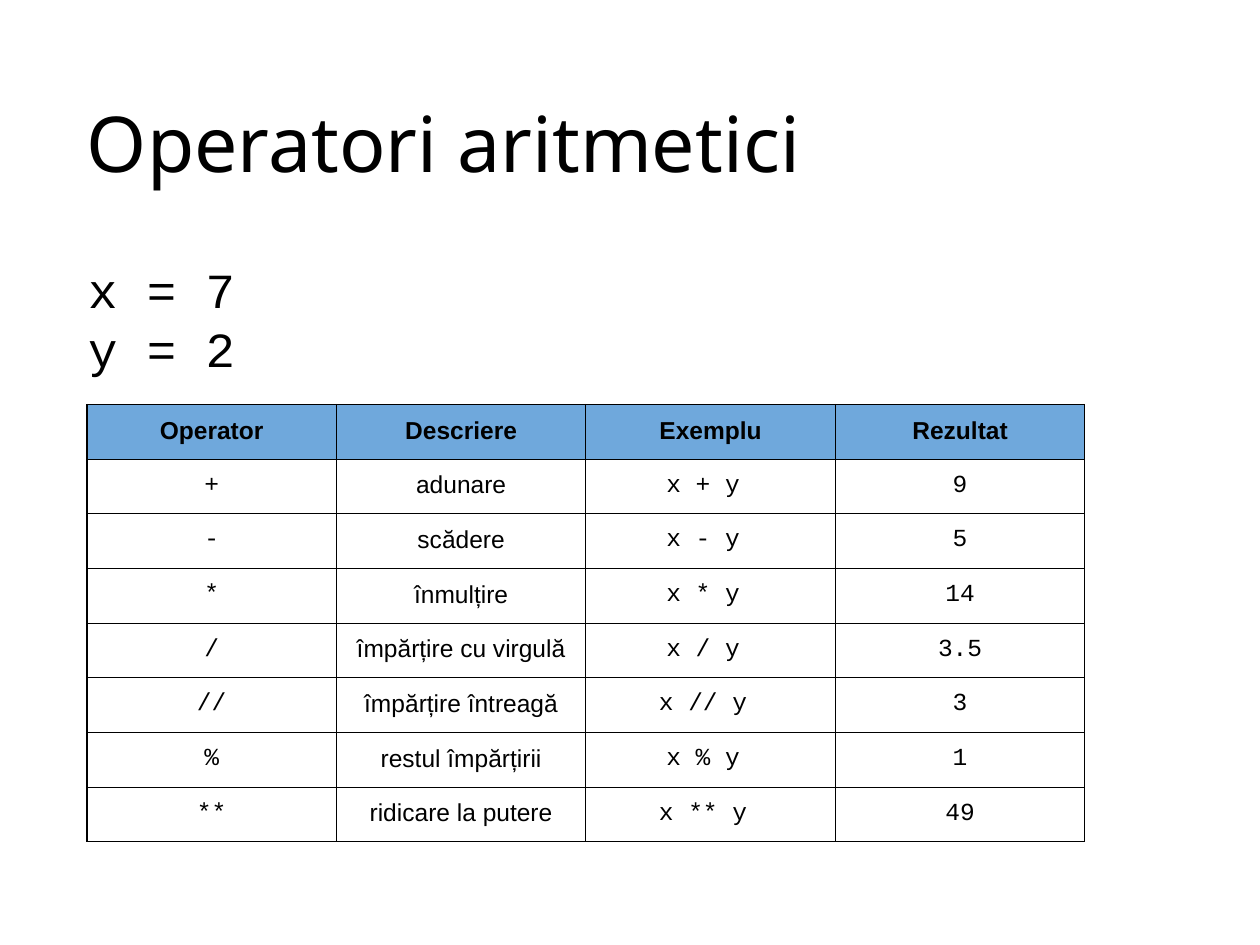
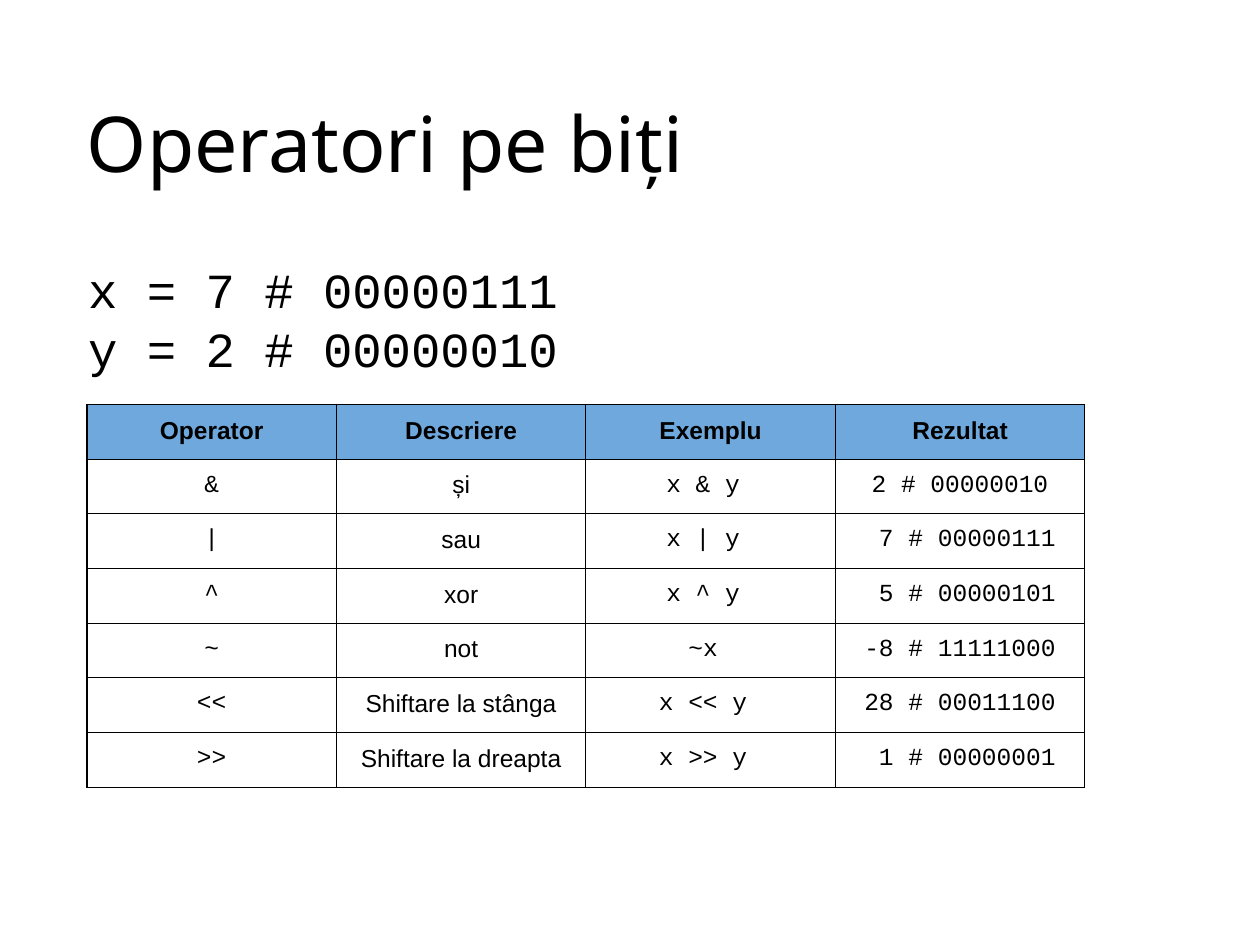
from lxml.etree import SubElement
from pptx import Presentation
from pptx.dml.color import RGBColor as Rgb
from pptx.enum.text import MSO_ANCHOR as Anchor, PP_ALIGN as Align
from pptx.oxml.ns import qn
from pptx.util import Inches, Pt

COLORS = {"text": "000000", "border": "000000", "header": "6FA8DC"}
SANS, MONO, TITLE_FONT = "Arial", "Courier New", "Noto Sans"
HEADINGS = ["Operator", "Descriere", "Exemplu", "Rezultat"]
COLUMN_FONTS = [MONO, SANS, MONO, MONO]
COLUMN_WIDTH, ROW_HEIGHT = 1.98, 0.42
CELL_INSET = 0.1
EXAMPLE_RIGHT_INSET = 0.22  # one more character of room right of the examples

SLIDES = [
    ("Operatori aritmetici", ["x = 7", "y = 2"], [
        ("+", "adunare", "x + y", "9"),
        ("-", "scădere", "x - y", "5"),
        ("*", "înmulțire", "x * y", "14"),
        ("/", "împărțire cu virgulă", "x / y", "3.5"),
        ("//", "împărțire întreagă", "x // y", "3"),
        ("%", "restul împărțirii", "x % y", "1"),
        ("**", "ridicare la putere", "x ** y", "49"),
    ]),
    ("Operatori pe biți", ["x = 7 # 00000111", "y = 2 # 00000010"], [
        ("&", "și", "x & y", "2 # 00000010"),
        ("|", "sau", "x | y", " 7 # 00000111"),
        ("^", "xor", "x ^ y", " 5 # 00000101"),
        ("~", "not", "~x", "-8 # 11111000"),
        ("<<", "Shiftare la stânga", "x << y", "28 # 00011100"),
        (">>", "Shiftare la dreapta", "x >> y", " 1 # 00000001"),
    ]),
]


def apply(target, formats):
    for name, value in formats.items():
        setattr(target, name, value)


class Deck:
    def __init__(self):
        self.presentation = Presentation()
        self.presentation.slide_width = Inches(10)
        self.presentation.slide_height = Inches(7.5)
        self.slide = None

    def new_slide(self):
        blank = self.presentation.slide_layouts[6]
        self.slide = self.presentation.slides.add_slide(blank)

    def style(self, paragraph, font, size, bold=False):
        apply(paragraph.font, {"name": font, "size": Pt(size), "bold": bold})
        paragraph.font.color.rgb = Rgb.from_string(COLORS["text"])

    def text(self, lines, box, font, size, line_spacing=None, **frame_formats):
        frame = self.slide.shapes.add_textbox(*map(Inches, box)).text_frame
        apply(frame, {"word_wrap": True, "margin_left": 0, "margin_right": 0,
                      "margin_top": 0, "margin_bottom": 0, **frame_formats})
        frame.text = "\n".join(lines)
        for paragraph in frame.paragraphs:
            paragraph.line_spacing = line_spacing
            self.style(paragraph, font, size)

    def title(self, words):
        self.text([words], (0.69, 0.4, 8.62, 1.45), TITLE_FONT, 44,
                  vertical_anchor=Anchor.MIDDLE)

    def code(self, lines):
        self.text(lines, (0.7, 2, 8.62, 4.64), MONO, 28,
                  line_spacing=Pt(33.7), margin_top=Inches(0.06))

    def borders(self, cell):
        properties = cell._tc.get_or_add_tcPr()
        for side in ("lnL", "lnR", "lnT", "lnB"):
            line = SubElement(properties, qn(f"a:{side}"), w=str(Pt(0.75)))
            fill = SubElement(line, qn("a:solidFill"))
            SubElement(fill, qn("a:srgbClr"), val=COLORS["border"])

    def cell(self, cell, words, font, right_inset, header):
        cell.text = words
        apply(cell, {"margin_left": Inches(CELL_INSET),
                     "margin_right": Inches(right_inset),
                     "margin_top": Inches(CELL_INSET),
                     "margin_bottom": Inches(CELL_INSET)})
        paragraph = cell.text_frame.paragraphs[0]
        paragraph.alignment = Align.CENTER
        self.style(paragraph, font, 14, bold=header)
        self.borders(cell)
        if header:
            cell.fill.solid()
            cell.fill.fore_color.rgb = Rgb.from_string(COLORS["header"])
        else:
            cell.fill.background()

    def operator_table(self, operators):
        rows = [HEADINGS, *operators]
        table = self.slide.shapes.add_table(
            len(rows), len(HEADINGS), Inches(0.69), Inches(3.21),
            Inches(COLUMN_WIDTH * len(HEADINGS)),
            Inches(ROW_HEIGHT * len(rows))).table
        for column in table.columns:
            column.width = Inches(COLUMN_WIDTH)
        for r, row in enumerate(rows):
            table.rows[r].height = Inches(ROW_HEIGHT)
            header = r == 0
            for c, words in enumerate(row):
                shifted = HEADINGS[c] == "Exemplu" and not header
                self.cell(table.cell(r, c), words,
                          SANS if header else COLUMN_FONTS[c],
                          EXAMPLE_RIGHT_INSET if shifted else CELL_INSET,
                          header)


def main():
    deck = Deck()
    for title, assignments, operators in SLIDES:
        deck.new_slide()
        deck.title(title)
        deck.code(assignments)
        deck.operator_table(operators)
    deck.presentation.save("out.pptx")


if __name__ == "__main__":
    main()
